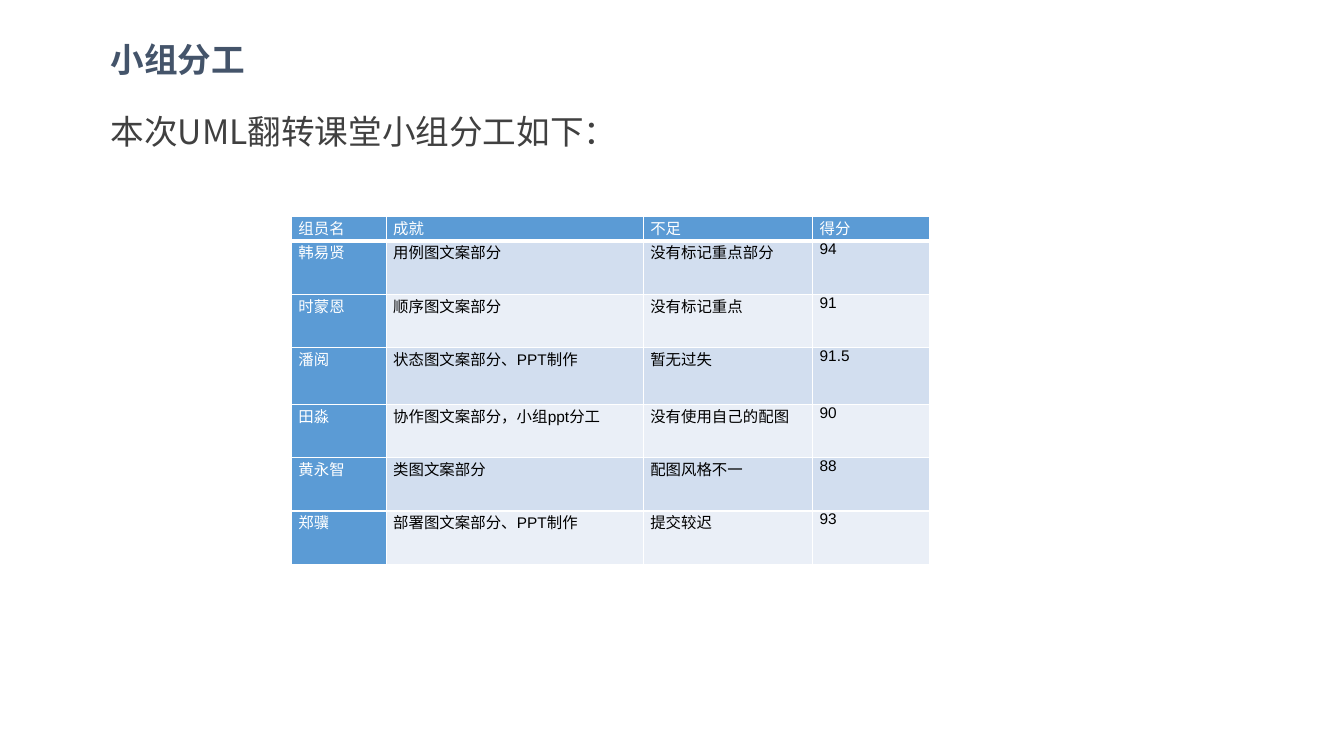
from lxml.etree import SubElement
from pptx import Presentation
from pptx.dml.color import RGBColor
from pptx.enum.text import MSO_ANCHOR as Anchor, PP_ALIGN as Align
from pptx.oxml.ns import qn
from pptx.util import Inches, Pt

HEAD = ["组员名", "成就", "不足", "得分"]
TEAM = [
    ["韩易贤", "用例图文案部分", "没有标记重点部分", "94"],
    ["时蒙恩", "顺序图文案部分", "没有标记重点", "91"],
    ["潘阅", "状态图文案部分、PPT制作", "暂无过失", "91.5"],
    ["田淼", "协作图文案部分，小组ppt分工", "没有使用自己的配图", "90"],
    ["黄永智", "类图文案部分", "配图风格不一", "88"],
    ["郑骥", "部署图文案部分、PPT制作", "提交较迟", "93"],
]
WIDTHS = [0.94, 2.55, 1.68, 1.16]
HEIGHTS = [0.24, 0.53, 0.53, 0.56, 0.53, 0.53, 0.53]


def paint(color):
    return RGBColor.from_string(color)


class Page:
    sans, body = "Noto Sans CJK SC", "Arial"
    white, black, blue = "FFFFFF", "000000", "5B9BD5"
    bands = ["D2DEEF", "EAEFF7"]

    def __init__(self, slide):
        self.slide = slide

    def style(self, para, face, size, color, bold=False):
        font = para.font
        font.name, font.size, font.bold = face, Pt(size), bold
        font.color.rgb = paint(color)

    def text(self, box, words, color, bold=False):
        shape = self.slide.shapes.add_textbox(*map(Inches, box))
        frame = shape.text_frame
        frame.word_wrap = True
        para = frame.paragraphs[0]
        para.text = words
        self.style(para, self.sans, 24, color, bold)
        return frame

    def edge(self, cell, side, width):
        props = cell._tc.get_or_add_tcPr()
        line = SubElement(props, qn(f"a:ln{side}"), w=str(Pt(width)))
        fill = SubElement(line, qn("a:solidFill"))
        SubElement(fill, qn("a:srgbClr"), val=self.white)

    def cell(self, cell, words, row, col):
        key = row == 0 or col == 0
        for side in "LRTB":
            thick = (row, side) in [(0, "B"), (1, "T")]
            self.edge(cell, side, 3 if thick else 1)
        cell.fill.solid()
        cell.fill.fore_color.rgb = paint(self.blue if key else self.bands[(row - 1) % 2])
        cell.margin_left = cell.margin_right = Inches(0.07)
        cell.margin_top = cell.margin_bottom = 0
        para = cell.text_frame.paragraphs[0]
        para.text = words
        para.space_before = Pt(6)
        self.style(para, self.body, 11, self.white if key else self.black)

    def table(self, left, top, rows):
        size = sum(WIDTHS), sum(HEIGHTS)
        frame = self.slide.shapes.add_table(
            len(rows), len(WIDTHS), *map(Inches, (left, top, *size)))
        grid = frame.table
        for col, width in zip(grid.columns, WIDTHS):
            col.width = Inches(width)
        for row, height in zip(grid.rows, HEIGHTS):
            row.height = Inches(height)
        for r, row in enumerate(rows):
            for c, words in enumerate(row):
                self.cell(grid.cell(r, c), words, r, c)


def main():
    deck = Presentation()
    deck.slide_width, deck.slide_height = Inches(13.33), Inches(7.5)
    page = Page(deck.slides.add_slide(deck.slide_layouts[6]))

    title = page.text((1, 0.31, 1.53, 0.55), "小组分工", "44546A", True)
    title.word_wrap = False
    title.margin_left = title.margin_right = 0
    title.vertical_anchor = Anchor.MIDDLE
    title.paragraphs[0].alignment = Align.CENTER

    intro = page.text((1, 0.85, 5.56, 0.71), "本次UML翻转课堂小组分工如下：", "404040")
    intro.paragraphs[0].line_spacing = 1.5

    page.table(2.89, 2.15, [HEAD, *TEAM])
    deck.save("out.pptx")


if __name__ == "__main__":
    main()
